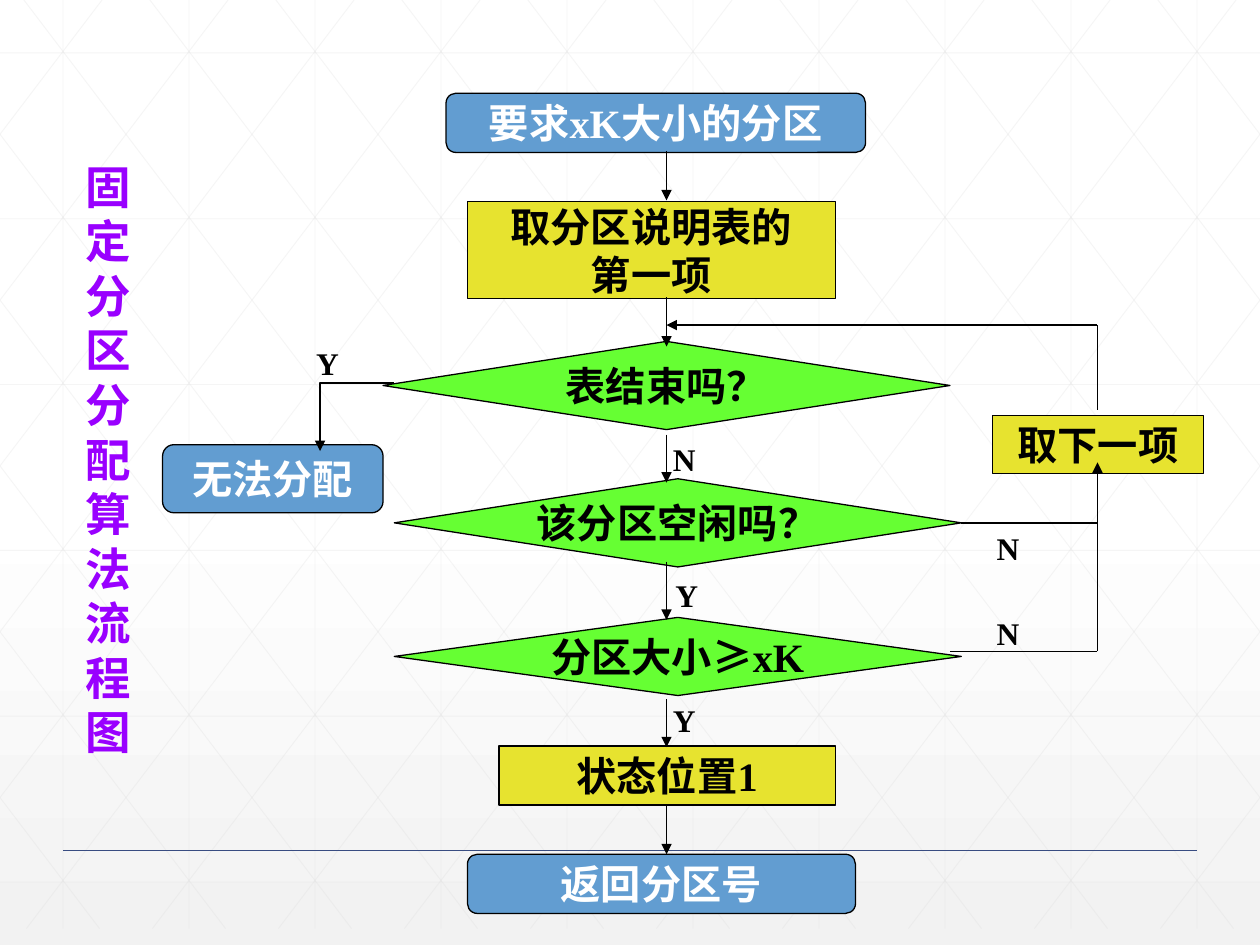
from copy import deepcopy
from pptx import Presentation
from pptx.dml.color import RGBColor
from pptx.enum.shapes import MSO_CONNECTOR, MSO_SHAPE
from pptx.enum.text import MSO_ANCHOR, MSO_AUTO_SIZE, PP_ALIGN
from pptx.oxml.ns import qn
from pptx.util import Inches, Pt
from lxml import etree

FONT = "Times New Roman"
STRAIGHT = MSO_CONNECTOR.STRAIGHT
ROUNDED, RECT, DIAMOND = (MSO_SHAPE.ROUNDED_RECTANGLE, MSO_SHAPE.RECTANGLE,
                          MSO_SHAPE.DIAMOND)
CENTER, LEFT = PP_ALIGN.CENTER, PP_ALIGN.LEFT
TOP, MIDDLE = MSO_ANCHOR.TOP, MSO_ANCHOR.MIDDLE
COLORS = {
    "white": "FFFFFF", "shade": "F2F2F2", "grid": "D9D9D9", "rule": "384C81",
    "title": "9900FF", "ink": "000000", "terminal": "629DD1",
    "process": "E7E32F", "decision": "66FF33",
}
# Node kind: preset shape and text colour
KINDS = {
    "terminal": (ROUNDED, "white"),
    "process": (RECT, "ink"),
    "decision": (DIAMOND, "ink"),
}


def rgb(name):
    return RGBColor.from_string(COLORS[name])


def add_line(slide, x1, y1, x2, y2, color="ink", width=0.75, arrow=False):
    line = slide.shapes.add_connector(
        STRAIGHT, Inches(x1), Inches(y1), Inches(x2), Inches(y2))
    line.line.color.rgb = rgb(color)
    line.line.width = Pt(width)
    etree.SubElement(line._element.spPr, qn("a:effectLst"))
    if arrow:
        add_arrowhead(line)
    return line


def add_arrowhead(shape):
    etree.SubElement(shape.line._get_or_add_ln(), qn("a:tailEnd"), type="triangle")


def write(sp, lines, size, color, align, anchor=MIDDLE, wrap=False,
          inset=(0.05, 0.02)):
    tf = sp.text_frame
    tf.word_wrap = wrap
    tf.auto_size = MSO_AUTO_SIZE.NONE
    tf.vertical_anchor = anchor
    tf.margin_left = tf.margin_right = Inches(inset[0])
    tf.margin_top = tf.margin_bottom = Inches(inset[1])
    for i, text in enumerate(lines):
        p = tf.add_paragraph() if i else tf.paragraphs[0]
        p.alignment = align
        r = p.add_run()
        r.text = text
        r.font.name, r.font.size, r.font.bold = FONT, Pt(size), True
        r.font.color.rgb = rgb(color)


def draw_background(slide):
    fill = slide.background.fill
    fill.gradient()
    fill.gradient_angle = 270
    first, last = fill.gradient_stops
    first.color.rgb, first.position = rgb("white"), 0
    last.color.rgb, last.position = rgb("shade"), 1
    middle = deepcopy(first._gs)
    middle.set("pos", "53000")
    first._gs.addnext(middle)


def draw_grid(slide, left, top, width, height):
    slope = 1.316  # fall of a diagonal per inch across
    run = height / slope
    segments = [(i + 0.5, 0, i + 0.5, height) for i in range(10)]
    segments += [(0, 0.42 + slope * i, width, 0.42 + slope * i) for i in range(6)]
    # Diagonals an inch apart, cut off at the sides, and their mirror images
    for i in range(-5, 10):
        start = i + 0.19
        x1, x2 = max(start, 0), min(start + run, width)
        y1, y2 = (x1 - start) * slope, (x2 - start) * slope
        segments += [(x1, y1, x2, y2), (width - x1, y1, width - x2, y2)]
    for x1, y1, x2, y2 in segments:
        line = add_line(slide, left + x1, top + y1, left + x2, top + y2, "grid", 0.5)
        color = line._element.spPr.find(".//" + qn("a:srgbClr"))
        etree.SubElement(color, qn("a:alpha"), val="25000")


def draw_title(slide, left, top, width, height):
    title = slide.shapes.title
    title.left, title.top = Inches(left), Inches(top)
    title.width, title.height = Inches(width), Inches(height)
    write(title, ["固定分区分配算法流程图"], 26, "title", LEFT, TOP, True, (0.1, 0.05))
    slide.shapes._spTree.append(title._element)  # in front of the grid


def draw_flowchart(slide, left, top):
    # Steps
    nodes = [
        ("terminal", 2.25, 0, 3.33, 0.47, ["要求xK大小的分区"]),
        ("process", 2.42, 0.86, 2.92, 0.77, ["取分区说明表的", "第一项"]),
        ("decision", 1.75, 1.97, 4.5, 0.7, ["表结束吗？"]),
        ("decision", 1.84, 3.06, 4.5, 0.7, ["该分区空闲吗？"]),
        ("decision", 1.84, 4.16, 4.5, 0.62, ["分区大小≥xK"]),
        ("process", 2.67, 5.18, 2.67, 0.47, ["状态位置1"]),
        ("terminal", 2.42, 6.04, 3.08, 0.47, ["返回分区号"]),
        ("terminal", 0, 2.79, 1.75, 0.54, ["无法分配"]),
        ("process", 6.59, 2.56, 1.67, 0.46, ["取下一项"]),
    ]
    for kind, x, y, w, h, lines in nodes:
        preset, text_color = KINDS[kind]
        sp = slide.shapes.add_shape(
            preset, Inches(left + x), Inches(top + y), Inches(w), Inches(h))
        sp.shadow.inherit = False
        sp.fill.solid()
        sp.fill.fore_color.rgb = rgb(kind)
        sp.line.color.rgb = rgb("ink")
        sp.line.width = Pt(0.75)
        write(sp, lines, 23, text_color, CENTER)

    # Arrows down the main path, then the loop back through the next entry
    spine, loop = 4, 7.42
    main_path = [(0.46, 0.85), (1.62, 2.01), (2.71, 3.09),
                 (3.72, 4.18), (4.81, 5.19), (5.66, 6.04)]
    links = [(spine, y1, spine, y2, True) for y1, y2 in main_path]
    links += [
        (6.34, 3.41, loop, 3.41, False),
        (loop, 3.43, loop, 2.93, True),
        (6.25, 4.43, loop, 4.43, False),
        (loop, 4.43, loop, 3.43, False),
        (loop, 2.51, loop, 1.84, False),
        (loop, 1.84, spine, 1.84, True),
    ]
    for x1, y1, x2, y2, arrow in links:
        add_line(slide, left + x1, top + y1, left + x2, top + y2, arrow=arrow)

    # Bent arrow to the failure exit
    start, *rest = [(Inches(left + x), Inches(top + y))
                    for x, y in [(1.84, 2.3), (1.25, 2.3), (1.25, 2.84)]]
    builder = slide.shapes.build_freeform(*start)
    builder.add_line_segments(rest, close=False)
    bend = builder.convert_to_shape()
    bend.shadow.inherit = False
    bend.fill.background()
    bend.line.color.rgb = rgb("ink")
    bend.line.width = Pt(0.75)
    add_arrowhead(bend)

    # Branch labels
    labels = [
        ("N", spine, 2.68, 0.5, 0.44), ("Y", 4.02, 3.76, 0.4, 0.45),
        ("Y", spine, 4.76, 0.33, 0.42), ("Y", 1.17, 1.93, 0.42, 0.42),
        ("N", 6.57, 3.36, 0.35, 0.49), ("N", 6.57, 4.06, 0.35, 0.45),
    ]
    for text, x, y, w, h in labels:
        box = slide.shapes.add_textbox(
            Inches(left + x), Inches(top + y), Inches(w), Inches(h))
        write(box, [text], 18, "ink", LEFT)


def main():
    prs = Presentation()
    prs.slide_width, prs.slide_height = Inches(10), Inches(7.5)
    slide = prs.slides.add_slide(prs.slide_layouts[5])
    draw_background(slide)
    draw_grid(slide, 0, 0, 10, 7.37)
    add_line(slide, 0.5, 6.75, 9.5, 6.75, "rule", 1)
    draw_title(slide, 0.58, 1.21, 0.77, 4.87)
    draw_flowchart(slide, 1.29, 0.74)
    prs.save("out.pptx")


if __name__ == "__main__":
    main()
